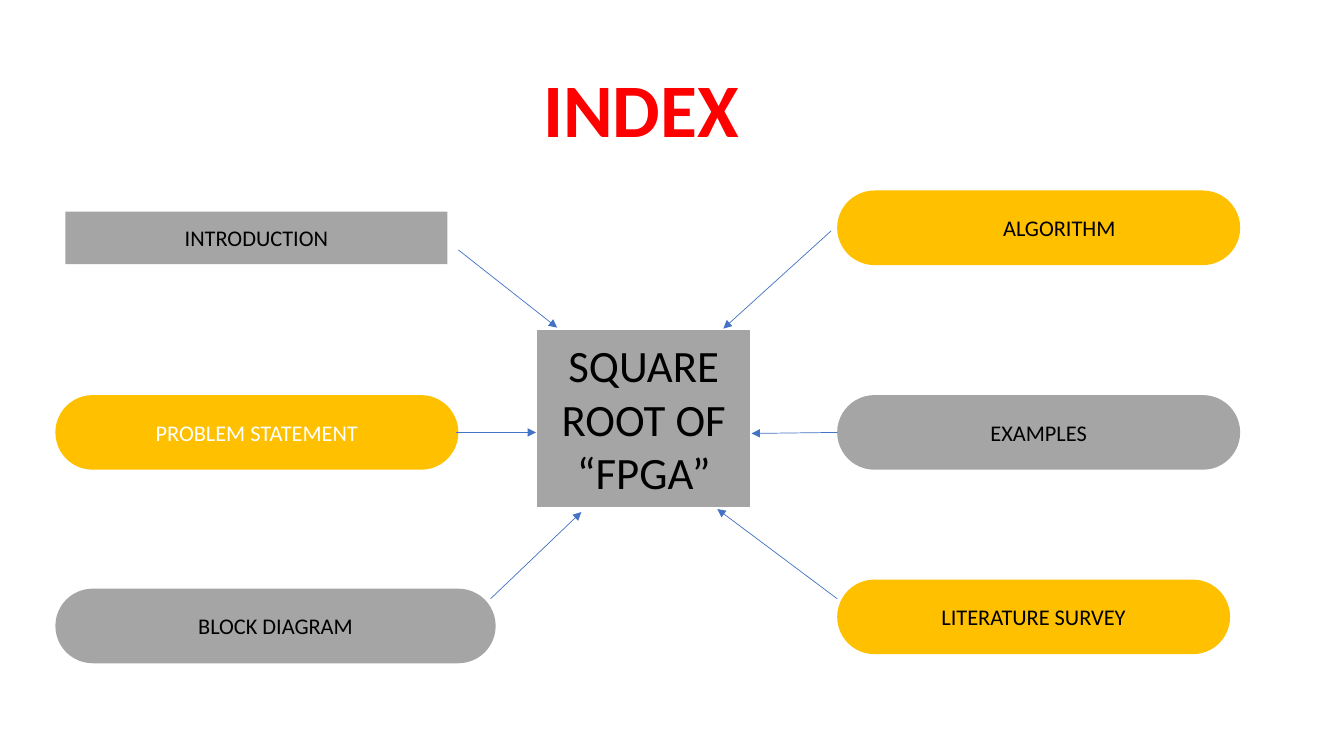
"""Build the INDEX slide: six topics pointing at a central subject."""
from dataclasses import dataclass

from lxml import etree
from pptx import Presentation
from pptx import util as u
from pptx.dml.color import RGBColor
from pptx.enum import shapes, text
from pptx.oxml import ns

PX = 9144
FONT = "Calibri"
COLORS = {
    "red": "FF0000",
    "gray": "A5A5A5",
    "gold": "FFC000",
    "blue": "4472C4",
    "black": "000000",
    "white": "FFFFFF",
}
RECTANGLE = shapes.MSO_SHAPE.RECTANGLE
PILL = shapes.MSO_SHAPE.ROUNDED_RECTANGLE


@dataclass(frozen=True)
class Box:
    label: str
    left: int
    top: int
    width: int
    height: int = 74
    fill: str = "gray"
    kind: shapes.MSO_SHAPE = PILL
    color: str = "black"
    size: int = 16
    inset: int = 10
    outline: str | None = None


@dataclass(frozen=True)
class Arrow:
    x1: int
    y1: int
    x2: int
    y2: int


BOXES = [
    Box("INTRODUCTION", 65, 210, 379, 52, kind=RECTANGLE),
    Box("ALGORITHM", 831, 189, 400, fill="gold", inset=51),
    Box("PROBLEM STATEMENT", 55, 392, 400, fill="gold", color="white"),
    Box("EXAMPLES", 831, 392, 400),
    Box("BLOCK DIAGRAM", 55, 584, 437),
    Box("LITERATURE SURVEY", 831, 575, 390, fill="gold"),
    Box("SQUARE ROOT OF “FPGA”", 532, 326, 214, 178, kind=RECTANGLE, size=32, outline="white"),
]
ARROWS = [
    Arrow(455, 248, 553, 325),
    Arrow(453, 429, 532, 429),
    Arrow(487, 594, 577, 508),
    Arrow(831, 594, 712, 505),
    Arrow(831, 429, 746, 430),
    Arrow(825, 229, 718, 326),
]


def px(length: int) -> u.Emu:
    return u.Emu(length * PX)


def rgb(name: str) -> RGBColor:
    return RGBColor.from_string(COLORS[name])


def write(shape, content: str, *, size: int, color: str, bold: bool = False,
          align=text.PP_ALIGN.CENTER, inset: int = 10, spacing: float = 1.0) -> None:
    frame = shape.text_frame
    frame.word_wrap = True
    frame.vertical_anchor = text.MSO_ANCHOR.MIDDLE
    frame.margin_left = px(inset)
    paragraph = frame.paragraphs[0]
    paragraph.alignment = align
    paragraph.line_spacing = spacing
    run = paragraph.add_run()
    run.text = content
    run.font.name = FONT
    run.font.size = u.Pt(size)
    run.font.bold = bold
    run.font.color.rgb = rgb(color)


def draw_title(slide) -> None:
    title = slide.shapes.add_textbox(px(92), px(40), px(1150), px(145))
    write(title, "INDEX", size=54, color="red", bold=True,
          align=text.PP_ALIGN.LEFT, inset=447, spacing=0.9)


def draw_box(slide, box: Box) -> None:
    shape = slide.shapes.add_shape(box.kind, px(box.left), px(box.top), px(box.width), px(box.height))
    shape.shadow.inherit = False
    if box.kind == PILL:
        shape.adjustments[0] = 0.5
    shape.fill.solid()
    shape.fill.fore_color.rgb = rgb(box.fill)
    if box.outline:
        shape.line.color.rgb = rgb(box.outline)
        shape.line.width = u.Pt(1.5)
    else:
        shape.line.fill.background()
    write(shape, box.label, size=box.size, color=box.color, inset=box.inset)


def draw_arrow(slide, arrow: Arrow) -> None:
    connector = slide.shapes.add_connector(
        shapes.MSO_CONNECTOR.STRAIGHT, px(arrow.x1), px(arrow.y1), px(arrow.x2), px(arrow.y2))
    connector.line.color.rgb = rgb("blue")
    connector.line.width = u.Pt(0.5)
    etree.SubElement(connector.line._get_or_add_ln(), ns.qn("a:tailEnd"), type="triangle")
    etree.SubElement(connector._element.spPr, ns.qn("a:effectLst"))


def main() -> None:
    presentation = Presentation()
    presentation.slide_width = px(1334)
    presentation.slide_height = px(750)
    slide = presentation.slides.add_slide(presentation.slide_layouts[6])
    draw_title(slide)
    for box in BOXES:
        draw_box(slide, box)
    for arrow in ARROWS:
        draw_arrow(slide, arrow)
    presentation.save("out.pptx")


if __name__ == "__main__":
    main()
